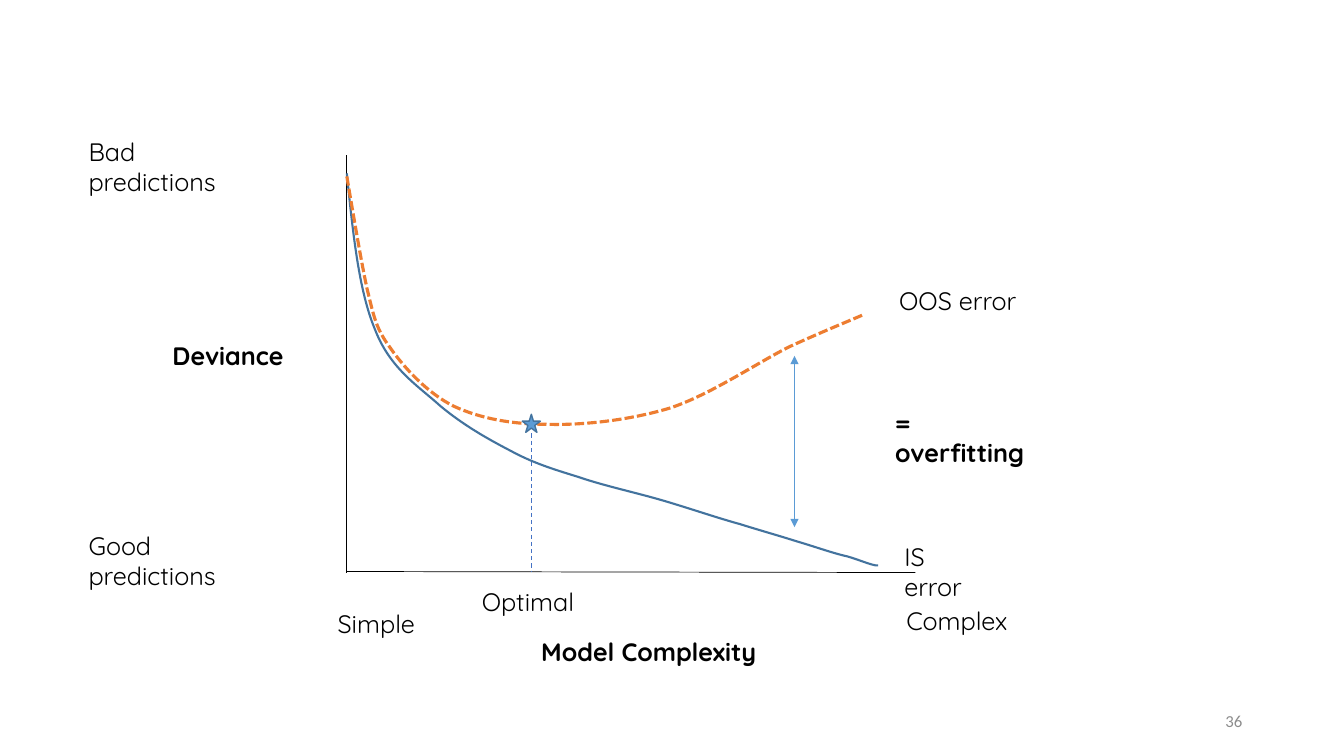
from pptx import Presentation
from pptx.dml.color import RGBColor
from pptx.enum.dml import MSO_LINE
from pptx.enum.shapes import MSO_CONNECTOR, MSO_SHAPE
from pptx.enum.text import MSO_ANCHOR, PP_ALIGN
from pptx.oxml.ns import qn
from pptx.util import Inches, Pt
from lxml.etree import SubElement

COLORS = {
    "ink": "000000",
    "number": "8C8C8C",
    "in_sample": "43739E",
    "out_of_sample": "ED7D31",
    "accent": "5B9BD5",
    "guide": "4472C4",
}

IN_SAMPLE = [
    (0, 0.18),
    (0.06, 0.77), (0.12, 1.35), (0.28, 1.73),
    (0.43, 2.12), (0.71, 2.29), (0.93, 2.49),
    (1.16, 2.68), (1.39, 2.81), (1.62, 2.93),
    (1.84, 3.05), (2.03, 3.11), (2.29, 3.19),
    (2.55, 3.28), (2.88, 3.35), (3.15, 3.43),
    (3.42, 3.51), (3.68, 3.6), (3.9, 3.66),
    (4.09, 3.72), (4.27, 3.77), (4.46, 3.83),
    (4.63, 3.88), (4.8, 3.94), (4.92, 3.97),
    (5.03, 3.99), (5.22, 4.08), (5.27, 4.07),
]
OUT_OF_SAMPLE = [
    (0, 0.21),
    (0.07, 0.62), (0.14, 1.04), (0.2, 1.32),
    (0.27, 1.61), (0.29, 1.72), (0.43, 1.91),
    (0.57, 2.11), (0.8, 2.36), (1.06, 2.49),
    (1.32, 2.61), (1.63, 2.67), (1.99, 2.67),
    (2.34, 2.68), (2.8, 2.63), (3.2, 2.51),
    (3.6, 2.38), (4.07, 2.06), (4.39, 1.9),
    (4.72, 1.75), (4.92, 1.67), (5.13, 1.58),
]


def rgb(name):
    return RGBColor.from_string(COLORS[name])


def add_text(s, text, x, y, w, h=0.4, size=18, font="Quicksand", color="ink",
             bold=False, align=PP_ALIGN.LEFT, anchor=MSO_ANCHOR.TOP):
    tf = s.shapes.add_textbox(Inches(x), Inches(y), Inches(w), Inches(h)).text_frame
    tf.word_wrap = True
    tf.vertical_anchor = anchor
    tf.text = text
    for p in tf.paragraphs:
        p.alignment = align
        for r in p.runs:
            r.font.name = font
            r.font.size = Pt(size)
            r.font.bold = bold
            r.font.color.rgb = rgb(color)


def set_line(sp, color, width, dash=None):
    sp.line.color.rgb = rgb(color)
    sp.line.width = Pt(width)
    if dash:
        sp.line.dash_style = dash


def add_line(s, x1, y1, x2, y2, color, width, dash=None, arrows=False):
    line = s.shapes.add_connector(MSO_CONNECTOR.STRAIGHT, Inches(x1), Inches(y1),
                                  Inches(x2), Inches(y2))
    set_line(line, color, width, dash)
    if arrows:
        ln = line.line._get_or_add_ln()
        for end in ("a:headEnd", "a:tailEnd"):
            SubElement(ln, qn(end), type="triangle")
    SubElement(line._element.spPr, qn("a:effectLst"))


def bend_segments(sp):
    outline = next(sp._element.iter(qn("a:pathLst")))[0]
    segments = outline.findall(qn("a:lnTo"))
    for i in range(0, len(segments), 3):
        bend = SubElement(outline, qn("a:cubicBezTo"))
        for segment in segments[i:i + 3]:
            bend.append(segment[0])
            outline.remove(segment)


def add_curve(s, x, y, points, color, width, dash=None):
    start, *others = [(Inches(x + dx), Inches(y + dy)) for dx, dy in points]
    builder = s.shapes.build_freeform(*start)
    builder.add_line_segments(others, close=False)
    sp = builder.convert_to_shape()
    bend_segments(sp)
    sp.shadow.inherit = False
    sp.fill.background()
    set_line(sp, color, width, dash)


def add_plot(s, x, y, w, h):
    bottom = y + h
    add_line(s, x, y, x, bottom, "ink", 0.5)
    add_line(s, x, bottom - 0.01, x + w, bottom, "ink", 0.5)
    add_curve(s, x, y, IN_SAMPLE, "in_sample", 1.5)
    add_curve(s, x, y, OUT_OF_SAMPLE, "out_of_sample", 2.25, MSO_LINE.SQUARE_DOT)
    add_line(s, x + 4.44, y + 1.99, x + 4.44, y + 3.69, "accent", 0.5, arrows=True)

    optimum, size = x + 1.83, 0.18
    star = s.shapes.add_shape(MSO_SHAPE.STAR_5_POINT, Inches(optimum - size / 2),
                              Inches(y + 2.57), Inches(size), Inches(size))
    star.shadow.inherit = False
    star.fill.solid()
    star.fill.fore_color.rgb = rgb("accent")
    set_line(star, "in_sample", 1)
    add_line(s, optimum, y + 2.76, optimum, bottom - 0.01, "guide", 0.75, MSO_LINE.DASH)


def add_vertical_labels(s, x, y, w, h):
    for text, top in (("Bad\npredictions", y), ("Good\npredictions", y + h - 0.71)):
        add_text(s, text, x, top, 1.56, 0.71)
    add_text(s, "Deviance ", x + w - 1.45, y + 2.03, 1.45, bold=True, align=PP_ALIGN.RIGHT)


def add_horizontal_labels(s, x, y, w, h):
    add_text(s, "Simple", x, y + 0.22, 1)
    add_text(s, "Optimal", x + 1.43, y, 1.19)
    add_text(s, "Complex", x + w - 1.32, y + 0.19, 1.32)
    add_text(s, "Model Complexity", x + 2.02, y + h - 0.4, 2.46, bold=True)


def add_curve_labels(s, x, y, w, h):
    add_text(s, "OOS error", x + 0.04, y, 1.39)
    add_text(s, "= overfitting", x, y + 1.21, w, bold=True)
    add_text(s, "IS error", x + 0.09, y + h - 0.4, 1.01)


def main():
    prs = Presentation()
    prs.slide_width, prs.slide_height = Inches(13.33), Inches(7.5)
    s = prs.slides.add_slide(prs.slide_layouts[6])
    add_plot(s, 3.44, 1.54, 5.64, 4.14)
    add_vertical_labels(s, 0.78, 1.3, 2.2, 4.62)
    add_horizontal_labels(s, 3.25, 5.77, 6.96, 0.89)
    add_curve_labels(s, 8.78, 2.78, 1.63, 2.94)
    add_text(s, "36", 9.42, 6.95, 3, size=12, font="Calibri", color="number",
             align=PP_ALIGN.RIGHT, anchor=MSO_ANCHOR.MIDDLE)
    prs.save("out.pptx")


if __name__ == "__main__":
    main()
